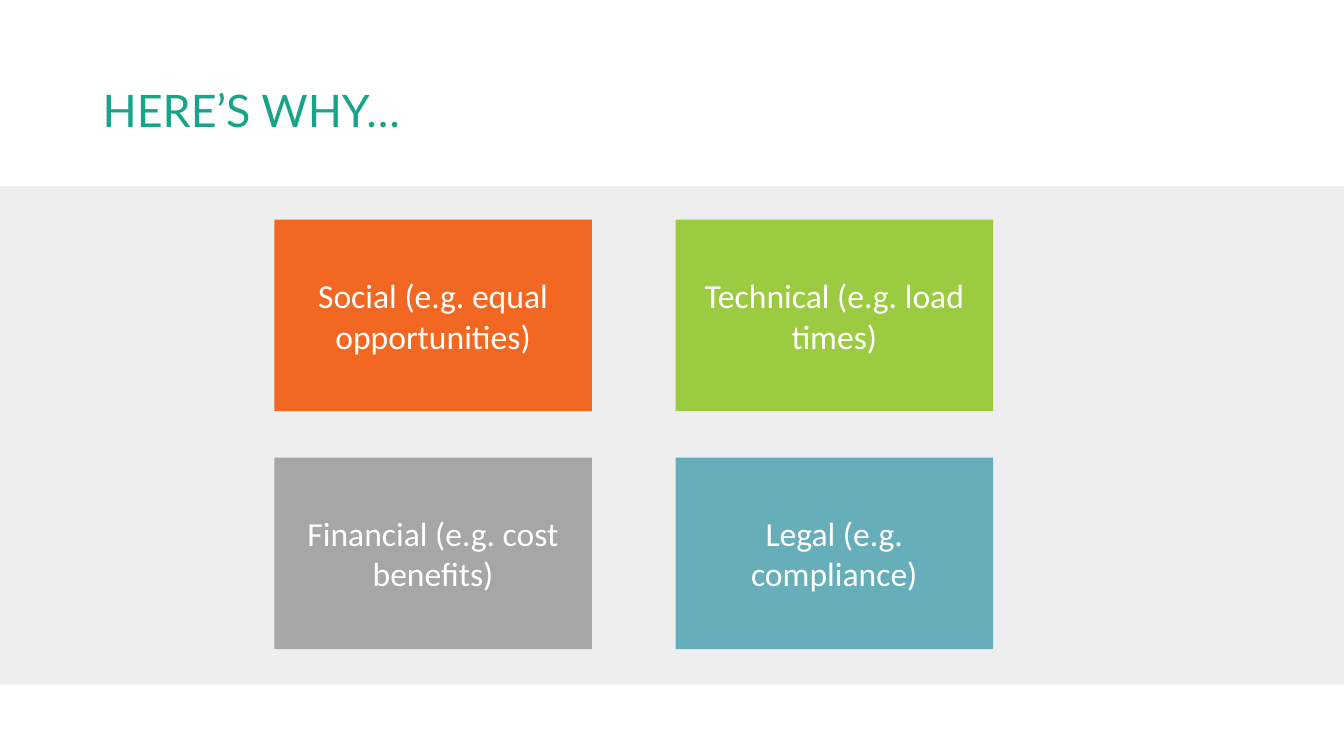
from dataclasses import dataclass

import pptx
import pptx.dml.color
import pptx.enum.shapes
import pptx.enum.text
import pptx.util

PX = 9144
WIDTH, HEIGHT = 1333, 750
CARD_LEFT, CARD_TOP = 272, 218
CARD_WIDTH, CARD_HEIGHT = 315, 190
COLUMN_STEP, ROW_STEP = 398, 236


@dataclass
class Reason:
    text: str
    fill: str
    column: int
    row: int


REASONS = [
    Reason("Social (e.g. equal opportunities)", "F26722", 0, 0),
    Reason("Technical (e.g. load times)", "9CCB42", 1, 0),
    Reason("Financial (e.g. cost benefits)", "A6A6A6", 0, 1),
    Reason("Legal (e.g. compliance)", "66AEBA", 1, 1),
]


def px(n: int) -> pptx.util.Emu:
    return pptx.util.Emu(n * PX)


def color(value: str) -> pptx.dml.color.RGBColor:
    return pptx.dml.color.RGBColor.from_string(value)


def add_rect(s, left: int, top: int, width: int, height: int, fill: str):
    sp = s.shapes.add_shape(
        pptx.enum.shapes.MSO_SHAPE.RECTANGLE,
        px(left), px(top), px(width), px(height),
    )
    sp.shadow.inherit = False
    sp.fill.solid()
    sp.fill.fore_color.rgb = color(fill)
    sp.line.fill.background()
    return sp


def write(sp, text: str, font: str, size: int, ink: str):
    tf = sp.text_frame
    tf.word_wrap = True
    tf.vertical_anchor = pptx.enum.text.MSO_ANCHOR.MIDDLE
    p = tf.paragraphs[0]
    r = p.add_run()
    r.text = text
    r.font.name = font
    r.font.size = pptx.util.Pt(size)
    r.font.color.rgb = color(ink)
    return p


def add_title(s, text: str) -> None:
    sp = s.shapes.add_textbox(px(92), px(40), px(1150), px(145))
    p = write(sp, text, "Lato", 32, "17A489")
    p.line_spacing = 0.9


def add_reason(s, reason: Reason) -> None:
    sp = add_rect(
        s,
        CARD_LEFT + reason.column * COLUMN_STEP,
        CARD_TOP + reason.row * ROW_STEP,
        CARD_WIDTH, CARD_HEIGHT, reason.fill,
    )
    tf = sp.text_frame
    tf.margin_left = tf.margin_right = px(5)
    tf.margin_top = tf.margin_bottom = px(5)
    p = write(sp, reason.text, "Calibri", 24, "FFFFFF")
    p.alignment = pptx.enum.text.PP_ALIGN.CENTER


def main() -> None:
    prs = pptx.Presentation()
    prs.slide_width, prs.slide_height = px(WIDTH), px(HEIGHT)
    s = prs.slides.add_slide(prs.slide_layouts[6])
    add_rect(s, 0, 185, WIDTH, 494, "EEEEEE")
    add_title(s, "HERE’S WHY…")
    for reason in REASONS:
        add_reason(s, reason)
    prs.save("out.pptx")


if __name__ == "__main__":
    main()
